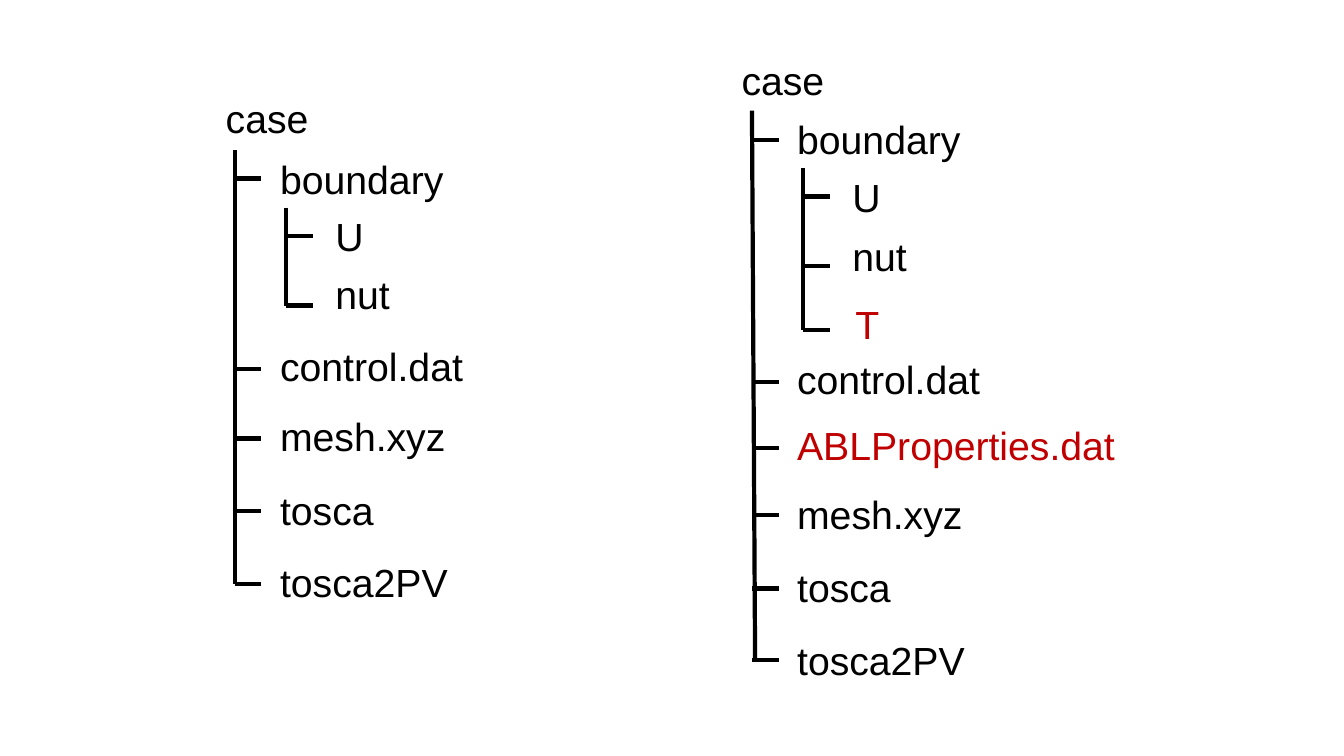
"""Build a slide comparing two case directory trees."""
import pptx
import pptx.dml.color
import pptx.enum.shapes
import pptx.enum.text
import pptx.oxml.ns
import pptx.util
from lxml import etree

Cm, Pt = pptx.util.Cm, pptx.util.Pt
BLACK = pptx.dml.color.RGBColor(0x00, 0x00, 0x00)
RED = pptx.dml.color.RGBColor(0xC0, 0x00, 0x00)

WIDTHS = {
    "case": 2.62, "boundary": 4.67, "U": 1.24, "nut": 1.91, "T": 1.12,
    "control.dat": 5.18, "ABLProperties.dat": 8.61, "mesh.xyz": 4.72,
    "tosca": 2.9, "tosca2PV": 4.78,
}
ADDED = {"T", "ABLProperties.dat"}
NUDGE = {"T": 0.08}

# Entries: name, label top, tick height
TREES = [
    {
        "x": 5.92, "lean": 0, "root": ("case", 5.44, 2.26),
        "files": [
            ("boundary", 3.78, 4.5), ("control.dat", 8.51, 9.3),
            ("mesh.xyz", 10.26, 11.05), ("tosca", 12.14, 12.88),
            ("tosca2PV", 13.94, 14.71),
        ],
        "fields": [("U", 5.23, 5.94), ("nut", 6.68, 7.7)],
    },
    {
        "x": 18.95, "lean": 0.08, "root": ("case", 18.44, 1.3),
        "files": [
            ("boundary", 2.79, 3.53), ("control.dat", 8.84, 9.63),
            ("ABLProperties.dat", 10.49, 11.28), ("mesh.xyz", 12.22, 12.98),
            ("tosca", 14.07, 14.83), ("tosca2PV", 15.9, 16.64),
        ],
        "fields": [("U", 4.24, 4.95), ("nut", 5.72, 6.71), ("T", 7.44, 8.31)],
    },
]
FILE_GAP, FIELD_GAP = 0.89, 0.99
FIELD_INDENT = 1.29
TICK, LABEL_HEIGHT = 0.67, 1.45


def add_label(slide, name, x, y):
    sp = slide.shapes.add_textbox(
        Cm(x + NUDGE.get(name, 0)), Cm(y), Cm(WIDTHS[name]), Cm(LABEL_HEIGHT))
    tf = sp.text_frame
    tf.word_wrap = False
    tf.auto_size = pptx.enum.text.MSO_AUTO_SIZE.SHAPE_TO_FIT_TEXT
    r = tf.paragraphs[0].add_run()
    r.text = name
    r.font.name = "Arial"
    r.font.size = Pt(28)
    r.font.color.rgb = RED if name in ADDED else BLACK


def add_line(slide, x1, y1, x2, y2):
    line = slide.shapes.add_connector(
        pptx.enum.shapes.MSO_CONNECTOR.STRAIGHT, Cm(x1), Cm(y1), Cm(x2), Cm(y2))
    line.line.color.rgb = BLACK
    line.line.width = Pt(3)
    etree.SubElement(line._element.spPr, pptx.oxml.ns.qn("a:effectLst"))


def add_branch(slide, x, gap, entries, lean=0):
    add_line(slide, x, entries[0][1], x + lean, entries[-1][2])
    for name, top, tick in entries:
        add_line(slide, x, tick, x + TICK, tick)
        add_label(slide, name, x + gap, top)


def main():
    prs = pptx.Presentation()
    prs.slide_width, prs.slide_height = Cm(33.87), Cm(19.05)
    slide = prs.slides.add_slide(prs.slide_layouts[6])
    for tree in TREES:
        add_label(slide, *tree["root"])
        add_branch(slide, tree["x"], FILE_GAP, tree["files"], tree["lean"])
        add_branch(slide, tree["x"] + FIELD_INDENT, FIELD_GAP, tree["fields"])
    prs.save("out.pptx")


if __name__ == "__main__":
    main()
